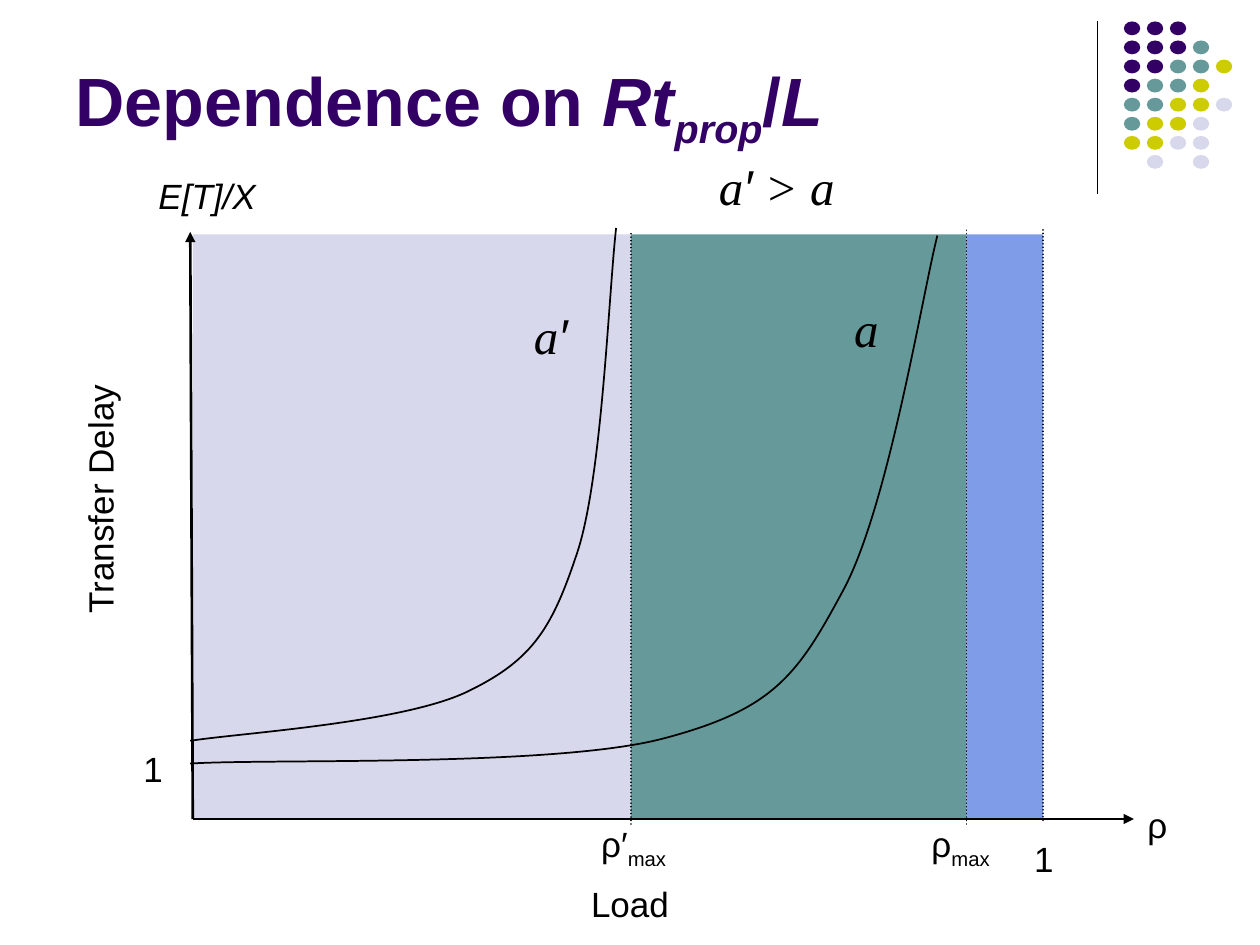
"""Build a slide charting transfer delay against load for two values of a."""
from lxml.etree import SubElement
from pptx import Presentation
from pptx.dml.color import RGBColor
from pptx.enum.dml import MSO_LINE
from pptx.enum.shapes import MSO_CONNECTOR, MSO_SHAPE
from pptx.enum.text import MSO_ANCHOR, MSO_AUTO_SIZE, PP_ALIGN
from pptx.oxml.ns import qn
from pptx.util import Inches, Pt

COLORS = {
    "ink": "000000",
    "purple": "330066",
    "teal": "669999",
    "lime": "CCCC00",
    "lavender": "D8D8EC",
    "blue": "7E9CE8",
}
SANS, SERIF = "Arial", "Times New Roman"
ITALIC = {"italic": True}
SERIF_ITALIC = {"italic": True, "name": SERIF}


def write(frame, spans, size, color, align, anchor, bold=False):
    frame.auto_size = MSO_AUTO_SIZE.NONE
    frame.vertical_anchor = anchor
    para = frame.paragraphs[0]
    para.alignment = align
    for text, changes in spans:
        span = para.add_run()
        span.text = text
        values = {"name": SANS, "size": Pt(size), "bold": bold, "italic": False} | changes
        subscript = values.pop("subscript", False)
        for key, value in values.items():
            setattr(span.font, key, value)
        span.font.color.rgb = RGBColor.from_string(COLORS[color])
        if subscript:
            span.font._element.set("baseline", "-25000")


def add_line(start, end, width, dash=None, arrow=False):
    points = [Inches(value) for value in (*start, *end)]
    line = page.shapes.add_connector(MSO_CONNECTOR.STRAIGHT, *points)
    line.line.width = Pt(width)
    line.line.color.rgb = RGBColor.from_string(COLORS["ink"])
    if dash:
        line.line.dash_style = dash
        line.line._get_or_add_ln().set("cap", "rnd")
    if arrow:
        SubElement(line.line._get_or_add_ln(), qn("a:tailEnd"), type="triangle")
    SubElement(line._element.spPr, qn("a:effectLst"))


deck = Presentation()
deck.slide_width, deck.slide_height = Inches(10), Inches(7.5)
page = deck.slides.add_slide(deck.slide_layouts[5])

title = page.shapes.title
title.left, title.top = Inches(0.5), Inches(0.13)
title.width, title.height = Inches(8.25), Inches(1.12)
title_spans = [
    ("Dependence on ", {}),
    ("Rt", ITALIC),
    ("prop", {"italic": True, "subscript": True}),
    ("/", {}),
    ("L", ITALIC),
]
write(title.text_frame, title_spans, 39, "purple", PP_ALIGN.LEFT, MSO_ANCHOR.BOTTOM, True)

dot_colors = {"P": "purple", "T": "teal", "Y": "lime", "L": "lavender"}
dot_rows = ["PPP", "PPPT", "PPTTY", "PTTY", "TTYYL", "TYYL", "YYLL", " L L"]
filled = [
    (MSO_SHAPE.OVAL, 8.92 + 0.73 * column / 4, 0.17 + 1.06 * row / 7, 0.13, 0.11, dot_colors[mark])
    for row, marks in enumerate(dot_rows)
    for column, mark in enumerate(marks)
    if mark != " "
]
region_edges = [1.53, 5.01, 7.67, 8.28]
for left, right, color in zip(region_edges, region_edges[1:], ["lavender", "teal", "blue"]):
    filled.append((MSO_SHAPE.RECTANGLE, left, 1.86, right - left, 4.64, color))
for kind, left, top, width, height, color in filled:
    shape = page.shapes.add_shape(kind, Inches(left), Inches(top), Inches(width), Inches(height))
    shape.shadow.inherit = False
    shape.fill.solid()
    shape.fill.fore_color.rgb = RGBColor.from_string(COLORS[color])
    shape.line.fill.background()

add_line((8.71, 0.17), (8.71, 1.54), 0.75)
add_line((1.53, 6.5), (9, 6.5), 1.5, arrow=True)
add_line((1.53, 6.5), (1.51, 1.84), 1.5, arrow=True)
for x, top, bottom in [(5.01, 1.83, 6.54), (7.67, 1.82, 6.54), (8.28, 1.8, 6.51)]:
    add_line((x, bottom), (x, top), 1, MSO_LINE.ROUND_DOT)

delay_curves = [
    [(1.51, 6.06), (2.14, 6.02), (4.41, 6.09), (5.27, 5.86), (6.14, 5.63),
     (6.33, 5.36), (6.69, 4.69), (7.05, 4.03), (7.32, 2.34), (7.44, 1.87)],
    [(1.51, 5.88), (1.88, 5.82), (3.22, 5.74), (3.73, 5.48), (4.24, 5.23),
     (4.39, 4.97), (4.59, 4.36), (4.78, 3.75), (4.83, 2.35), (4.89, 1.81)],
]
for controls in delay_curves:
    start, *others = [(Inches(x), Inches(y)) for x, y in controls]
    builder = page.shapes.build_freeform(*start)
    builder.add_line_segments(others, close=False)
    curve = builder.convert_to_shape()
    outline = next(curve._element.iter(qn("a:path")))
    segments = outline.findall(qn("a:lnTo"))
    for first in range(0, len(segments), 3):
        bezier = SubElement(outline, qn("a:cubicBezTo"))
        for segment in segments[first:first + 3]:
            bezier.append(segment[0])
            outline.remove(segment)
    curve.shadow.inherit = False
    curve.fill.background()
    curve.line.width = Pt(1)
    curve.line.color.rgb = RGBColor.from_string(COLORS["ink"])

maximum = ("max", {"subscript": True})
labels = [
    (-0.22, 3.74, 2.02, 0.44, 20, 270, [("Transfer Delay", {})]),
    (4.59, 6.95, 0.82, 0.44, 20, 0, [("Load", {})]),
    (1.16, 1.33, 0.97, 0.44, 20, 0, [("E[T]/X", ITALIC)]),
    (9.01, 6.32, 0.35, 0.44, 20, 0, [("ρ", {})]),
    (7.16, 6.48, 0.93, 0.48, 20, 0, [("ρ", {}), maximum]),
    (4.5, 6.48, 1.06, 0.48, 20, 0, [("ρ′", {}), maximum]),
    (8.11, 6.59, 0.35, 0.44, 20, 0, [("1", {})]),
    (1.04, 5.88, 0.35, 0.44, 20, 0, [("1", {})]),
    (6.68, 2.32, 0.39, 0.57, 28, 0, [("a", SERIF_ITALIC)]),
    (4.11, 2.37, 0.52, 0.57, 28, 0, [("a", SERIF_ITALIC), ("′", ITALIC)]),
    (5.58, 1.19, 1.17, 0.57, 28, 0,
     [("a", SERIF_ITALIC), ("′", ITALIC), (" > a", SERIF_ITALIC)]),
]
for left, top, width, height, size, rotation, spans in labels:
    box = page.shapes.add_textbox(Inches(left), Inches(top), Inches(width), Inches(height))
    box.rotation = rotation
    box.text_frame.word_wrap = False
    write(box.text_frame, spans, size, "ink", PP_ALIGN.CENTER, MSO_ANCHOR.MIDDLE)

deck.save("out.pptx")
